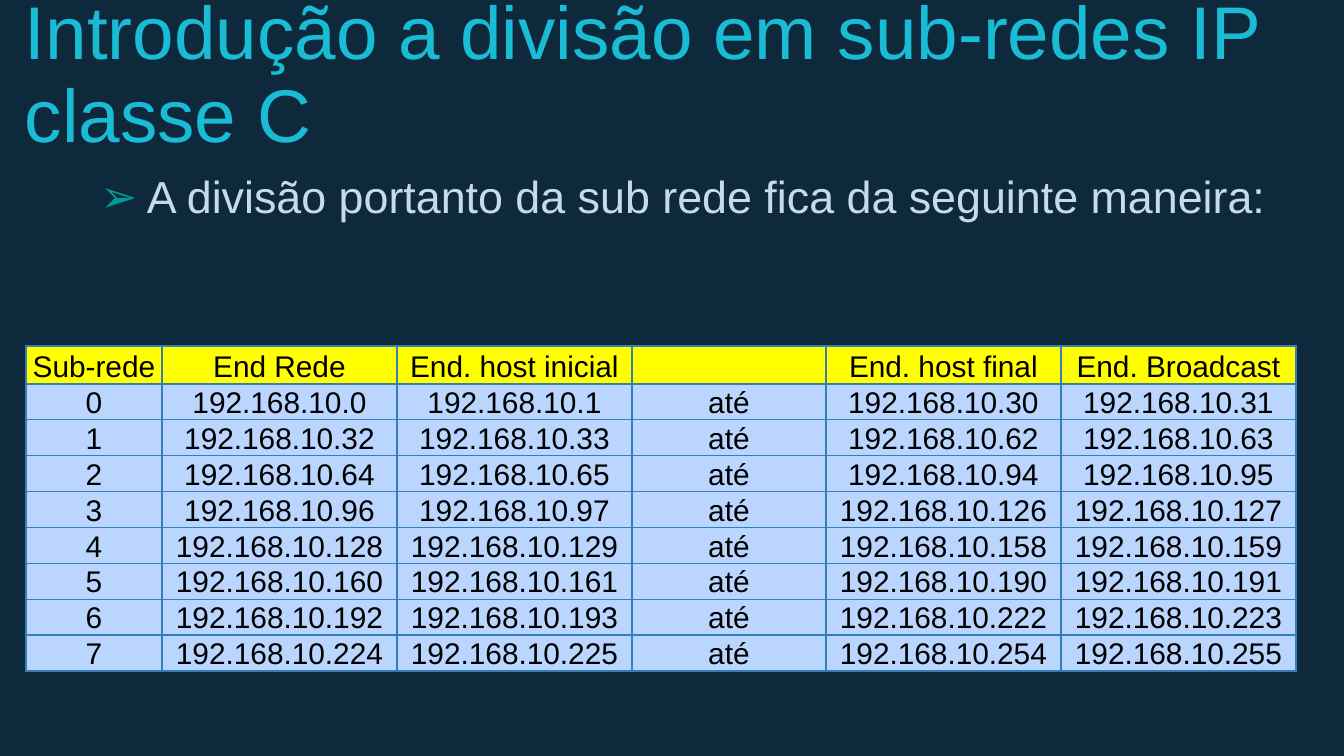
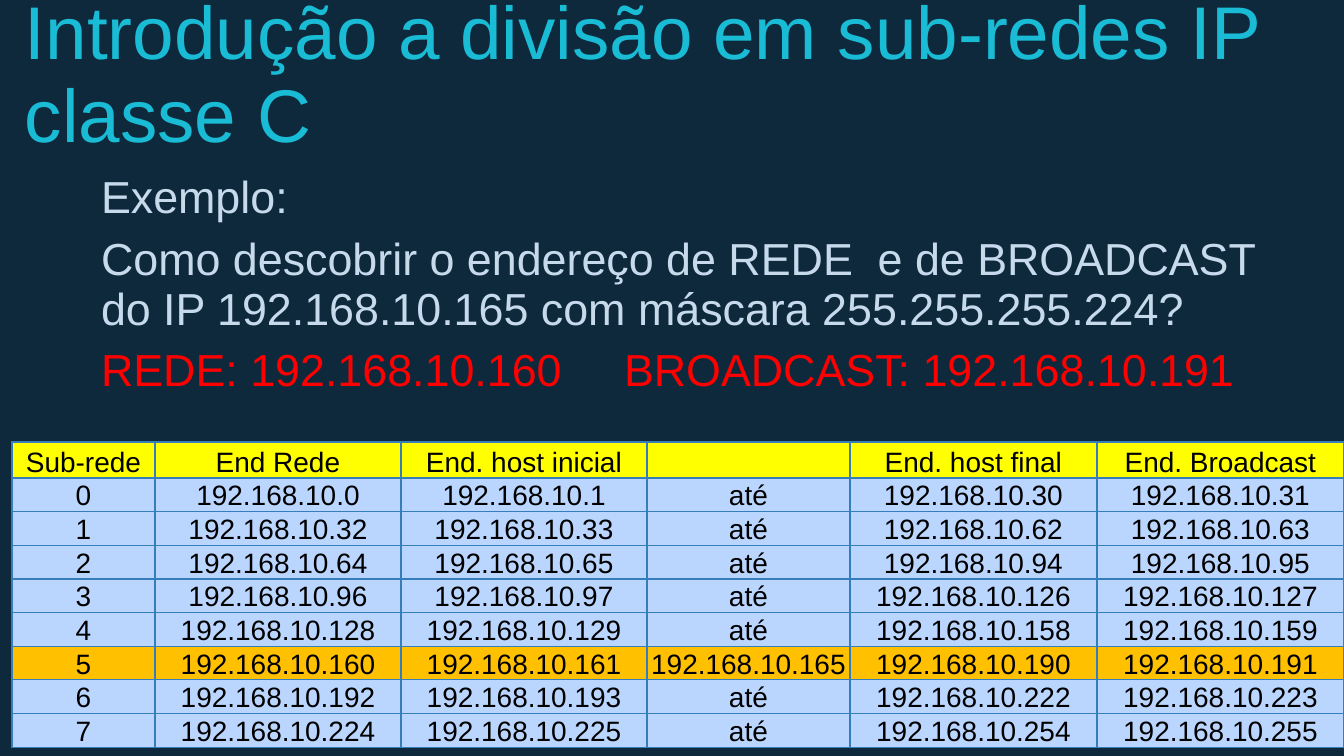
from dataclasses import dataclass
from typing import Optional

from lxml.etree import SubElement
from pptx import Presentation
from pptx.dml.color import RGBColor
from pptx.enum.text import MSO_ANCHOR as Anchor, PP_ALIGN as Align
from pptx.oxml.ns import qn
from pptx.util import Pt

SCALE = 914400 / 134.4
FONT = "Arial"
NAVY = RGBColor(0x0E, 0x29, 0x3C)
CYAN = RGBColor(0x19, 0xBB, 0xD5)
PALE = RGBColor(0xC6, 0xDA, 0xEC)
TEAL = RGBColor(0x00, 0x99, 0x99)
RED = RGBColor(0xFF, 0x00, 0x00)
BLACK = RGBColor(0x00, 0x00, 0x00)
YELLOW = RGBColor(0xFF, 0xFF, 0x00)
AMBER = RGBColor(0xFF, 0xC0, 0x00)
SKY = RGBColor(0xBA, 0xD6, 0xFF)
BORDER = RGBColor(0x36, 0x7E, 0xB9)

TITLE = "Introdução a divisão em sub-redes IP classe C"
HEADERS = ["Sub-rede", "End Rede", "End. host inicial", "",
           "End. host final", "End. Broadcast"]
PREFIX = "192.168.10."
SUBNETS, BLOCK = 8, 32
INSET = 13


def px(n: float) -> int:
    """Turn pixels into EMU."""
    return round(n * SCALE)


@dataclass
class Box:
    """A place on the slide, in pixels."""
    left: int
    top: int
    width: int
    height: int


@dataclass
class Para:
    """A paragraph of body text."""
    text: str
    color: RGBColor = PALE
    bullet: str = ""
    tab: int = 0


@dataclass
class SubnetTable:
    """Place, column widths, row heights and text size of a subnet table."""
    box: Box
    cols: list[int]
    header: int
    row: int
    size: int
    marked: Optional[int] = None
    host: str = ""


@dataclass
class Page:
    """The content of one slide."""
    paras: list[Para]
    table: SubnetTable
    text_inset: int = INSET


TITLE_BOX = Box(12, 77, 1279, 95)
BODY_BOX = Box(67, 161, 1223, 245)


def set_all(obj, values: dict) -> None:
    """Set each named attribute of an object."""
    for name, value in values.items():
        setattr(obj, name, value)


def add_run(p, text: str, size: int, color: RGBColor) -> None:
    """Add a run of text in the common font."""
    r = p.add_run()
    r.text = text
    set_all(r.font, {"name": FONT, "size": Pt(size)})
    r.font.color.rgb = color


def add_bullet(p, char: str) -> None:
    """Give a paragraph a hanging coloured bullet."""
    ppr = p._p.get_or_add_pPr()
    ppr.set("marL", str(px(67)))
    ppr.set("indent", str(px(-47)))
    clr = SubElement(ppr, qn("a:buClr"))
    SubElement(clr, qn("a:srgbClr"), val=str(TEAL))
    SubElement(ppr, qn("a:buFont"), typeface=FONT)
    SubElement(ppr, qn("a:buChar"), char=char)


def add_tab(p, pos: int) -> None:
    """Add a left tab stop to a paragraph."""
    tabs = SubElement(p._p.get_or_add_pPr(), qn("a:tabLst"))
    SubElement(tabs, qn("a:tab"), pos=str(px(pos)), algn="l")


def add_text(s, box: Box, paras: list[Para], size: int, anchor: Anchor,
             before: int = 0, left_inset: int = INSET) -> None:
    """Add a wrapped text box holding the paragraphs."""
    sp = s.shapes.add_textbox(px(box.left), px(box.top),
                              px(box.width), px(box.height))
    tf = sp.text_frame
    set_all(tf, {"word_wrap": True, "vertical_anchor": anchor,
                 "margin_left": px(left_inset), "margin_right": px(INSET),
                 "margin_top": px(INSET), "margin_bottom": px(INSET)})
    for i, para in enumerate(paras):
        p = tf.add_paragraph() if i else tf.paragraphs[0]
        set_all(p, {"line_spacing": 0.93, "space_before": Pt(before)})
        if para.bullet:
            add_bullet(p, para.bullet)
        if para.tab:
            add_tab(p, para.tab)
        add_run(p, para.text, size, para.color)


def subnet_row(i: int, middle: str) -> list[str]:
    """Work out the addresses of subnet i."""
    net = i * BLOCK
    last = net + BLOCK - 1
    return [str(i), f"{PREFIX}{net}", f"{PREFIX}{net + 1}", middle,
            f"{PREFIX}{last - 1}", f"{PREFIX}{last}"]


def format_cell(cell, text: str, size: int, fill: RGBColor) -> None:
    """Write and style one table cell."""
    set_all(cell, {"margin_left": px(1), "margin_right": px(1),
                   "margin_top": 0, "margin_bottom": 0,
                   "vertical_anchor": Anchor.BOTTOM})
    tcpr = cell._tc.get_or_add_tcPr()
    for side in "LRTB":
        ln = SubElement(tcpr, qn(f"a:ln{side}"), w=str(Pt(0.75)))
        solid = SubElement(ln, qn("a:solidFill"))
        SubElement(solid, qn("a:srgbClr"), val=str(BORDER))
    cell.fill.solid()
    cell.fill.fore_color.rgb = fill
    p = cell.text_frame.paragraphs[0]
    p.alignment = Align.CENTER
    if text:
        add_run(p, text, size, BLACK)
    else:
        SubElement(p._p, qn("a:endParaRPr"), sz=str(size * 100))


def add_subnet_table(s, t: SubnetTable) -> None:
    """Draw the table of subnets, with one row marked if asked."""
    rows = [HEADERS] + [subnet_row(i, t.host if i == t.marked else "até")
                        for i in range(SUBNETS)]
    frame = s.shapes.add_table(len(rows), len(t.cols), px(t.box.left),
                               px(t.box.top), px(t.box.width), px(t.box.height))
    table = frame.table
    set_all(table, {"first_row": False, "horz_banding": False})
    for col, width in zip(table.columns, t.cols):
        col.width = px(width)
    for i, texts in enumerate(rows):
        table.rows[i].height = px(t.row if i else t.header)
        fill = YELLOW if i == 0 else SKY
        if t.marked is not None and i == t.marked + 1:
            fill = AMBER
        for j, text in enumerate(texts):
            format_cell(table.cell(i, j), text, t.size, fill)
    frame.height = px(t.box.height)


def add_page(prs, page: Page) -> None:
    """Add one slide with title, body text and table."""
    s = prs.slides.add_slide(prs.slide_layouts[6])
    s.background.fill.solid()
    s.background.fill.fore_color.rgb = NAVY
    add_text(s, TITLE_BOX, [Para(TITLE, CYAN)], 40, Anchor.BOTTOM)
    add_text(s, BODY_BOX, page.paras, 24, Anchor.TOP, 6, page.text_inset)
    add_subnet_table(s, page.table)


PAGES = [
    Page([Para("A divisão portanto da sub rede fica da seguinte maneira:",
               bullet="➢")],
         SubnetTable(Box(26, 346, 1270, 333), [136, 235, 235, 194, 235, 235],
                     header=38, row=34, size=16)),
    Page([Para("Exemplo:"),
          Para("Como descobrir o endereço de REDE  e de BROADCAST do IP "
               "192.168.10.165 com máscara 255.255.255.224?"),
          Para("REDE: 192.168.10.160\tBROADCAST: 192.168.10.191", RED, tab=523)],
         SubnetTable(Box(12, 442, 1332, 313), [143, 246, 246, 203, 247, 247],
                     header=36, row=32, size=15, marked=5,
                     host=f"{PREFIX}165"),
         text_inset=34),
]

prs = Presentation()
set_all(prs, {"slide_width": px(1344), "slide_height": px(756)})
for page in PAGES:
    add_page(prs, page)
prs.save("out.pptx")
